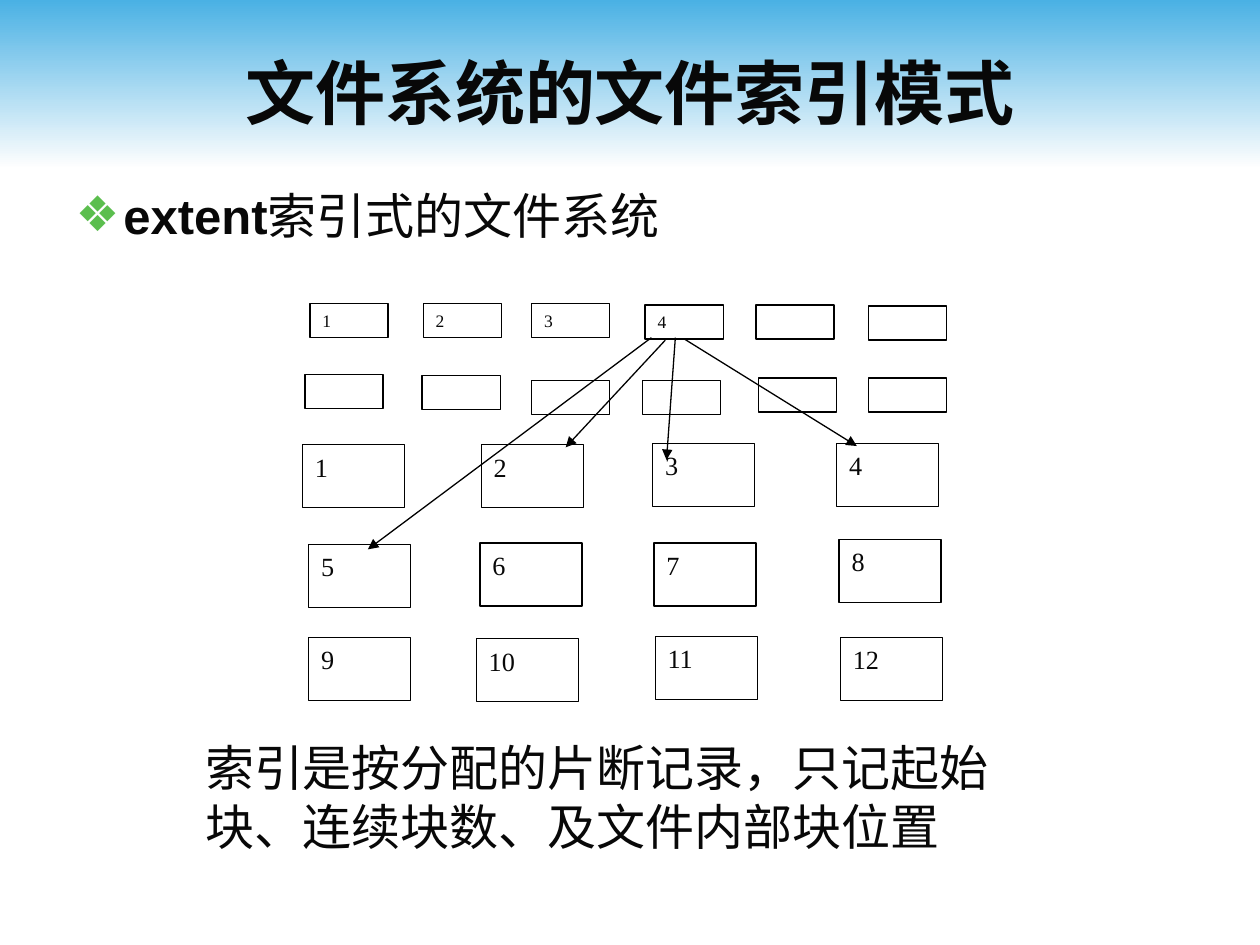
"""Build a slide on extent-based file indexing, on a grid of 100 by 75 cells."""
from lxml import etree
from pptx import Presentation, util as u
from pptx.dml.color import RGBColor
from pptx.enum import shapes, text
from pptx.oxml.ns import qn

COLORS = {"ink": "080808", "line": "000000", "box": "FFFFFF",
          "sky": "4AB1E4", "fade": "FEFEFE", "mark": "5BBE4E"}
SMALL = (6.2, 2.7, 10)
LARGE = (8.1, 5, 15)
ROWS = [
    (SMALL, "1234", [(24.6, 24.1), (33.6, 24.1), (42.2, 24.1),
                     (51.2, 24.2), (60, 24.2), (68.9, 24.3)]),
    (SMALL, "", [(24.2, 29.7), (33.5, 29.8), (42.2, 30.2),
                 (51, 30.2), (60.2, 30), (68.9, 30)]),
    (LARGE, "1234", [(24, 35.3), (38.2, 35.3), (51.8, 35.2), (66.4, 35.2)]),
    (LARGE, "5678", [(24.5, 43.2), (38.1, 43.1), (51.9, 43.1), (66.6, 42.8)]),
    (LARGE, ["9", "10", "11", "12"],
     [(24.5, 50.6), (37.8, 50.7), (52, 50.5), (66.7, 50.6)]),
]
ARROWS = [(52.8, 27, 44.9, 35.5), (53.6, 26.8, 52.9, 36.5),
          (51.7, 26.8, 29.2, 43.6), (54.3, 26.9, 68, 35.4)]


def rgb(name):
    """Look up a named colour."""
    return RGBColor.from_string(COLORS[name])


def cells(*spans):
    """Turn grid cells into lengths."""
    return [u.Inches(span / 10) for span in spans]


def place(shape, *spans):
    """Move and size a shape on the grid."""
    shape.left, shape.top, shape.width, shape.height = cells(*spans)


def write(para, words, size, font="Arial", bold=False):
    """Add one run to a paragraph."""
    run = para.add_run()
    run.text = words
    run.font.size, run.font.name, run.font.bold = u.Pt(size), font, bold
    run.font.color.rgb = rgb("ink")


def band(slide):
    """Draw the fading band behind the title."""
    shape = slide.shapes.add_shape(shapes.MSO_SHAPE.RECTANGLE, *cells(0, 0, 100, 13.3))
    shape.shadow.inherit = False
    shape.line.fill.background()
    shape.fill.gradient()
    shape.fill.gradient_angle = 270
    for stop, name, spot in zip(shape.fill.gradient_stops, ("sky", "fade"), (0, 1)):
        stop.color.rgb, stop.position = rgb(name), spot
    slide.shapes._spTree.insert(2, shape._element)


def title(slide):
    """Fill the title."""
    head = slide.shapes.title
    place(head, 5, 2.5, 90, 9.5)
    head.text_frame.vertical_anchor = text.MSO_ANCHOR.MIDDLE
    para = head.text_frame.paragraphs[0]
    para.alignment = text.PP_ALIGN.CENTER
    write(para, "文件系统的文件索引模式", 40, bold=True)


def body(slide):
    """Fill the bulleted list."""
    hold = slide.placeholders[1]
    place(hold, 5, 14.2, 90, 55)
    para = hold.text_frame.paragraphs[0]
    para.space_before = u.Pt(7)
    props = para._p.get_or_add_pPr()
    props.set("marL", str(u.Inches(0.38)))
    props.set("indent", str(-u.Inches(0.38)))
    tint = etree.SubElement(props, qn("a:buClr"))
    etree.SubElement(tint, qn("a:srgbClr"), val=COLORS["mark"])
    etree.SubElement(props, qn("a:buChar"), char="❖")
    write(para, "extent", 28, bold=True)
    write(para, "索引式的文件系统", 28)


def block(slide, spot, kind, label):
    """Draw one disk block."""
    wide, high, size = kind
    shape = slide.shapes.add_shape(shapes.MSO_SHAPE.RECTANGLE, *cells(*spot, wide, high))
    shape.shadow.inherit = False
    shape.fill.solid()
    shape.fill.fore_color.rgb = rgb("box")
    shape.line.color.rgb, shape.line.width = rgb("line"), u.Pt(0.75)
    if label:
        shape.text_frame.vertical_anchor = text.MSO_ANCHOR.TOP
        para = shape.text_frame.paragraphs[0]
        para.alignment = text.PP_ALIGN.JUSTIFY
        write(para, label, size, "Times New Roman")


def arrow(slide, ends):
    """Draw one arrow from the index to a block."""
    link = slide.shapes.add_connector(shapes.MSO_CONNECTOR.STRAIGHT, *cells(*ends))
    link.line.color.rgb, link.line.width = rgb("line"), u.Pt(0.75)
    etree.SubElement(link.line._get_or_add_ln(), qn("a:tailEnd"), type="triangle")
    etree.SubElement(link._element.spPr, qn("a:effectLst"))


def note(slide):
    """Write the closing remark."""
    frame = slide.shapes.add_textbox(*cells(15.3, 58, 66.9, 10.4)).text_frame
    frame.word_wrap = True
    frame.auto_size = text.MSO_AUTO_SIZE.SHAPE_TO_FIT_TEXT
    frame.vertical_anchor = text.MSO_ANCHOR.MIDDLE
    write(frame.paragraphs[0], "索引是按分配的片断记录，只记起始块、连续块数、及文件内部块位置", 28)


def main():
    """Build and save the slide."""
    deck = Presentation()
    deck.slide_width, deck.slide_height = cells(100, 75)
    slide = deck.slides.add_slide(deck.slide_layouts[1])
    band(slide)
    title(slide)
    body(slide)
    for kind, labels, spots in ROWS:
        for i, spot in enumerate(spots):
            block(slide, spot, kind, labels[i] if i < len(labels) else "")
    for ends in ARROWS:
        arrow(slide, ends)
    note(slide)
    deck.save("out.pptx")


if __name__ == "__main__":
    main()
